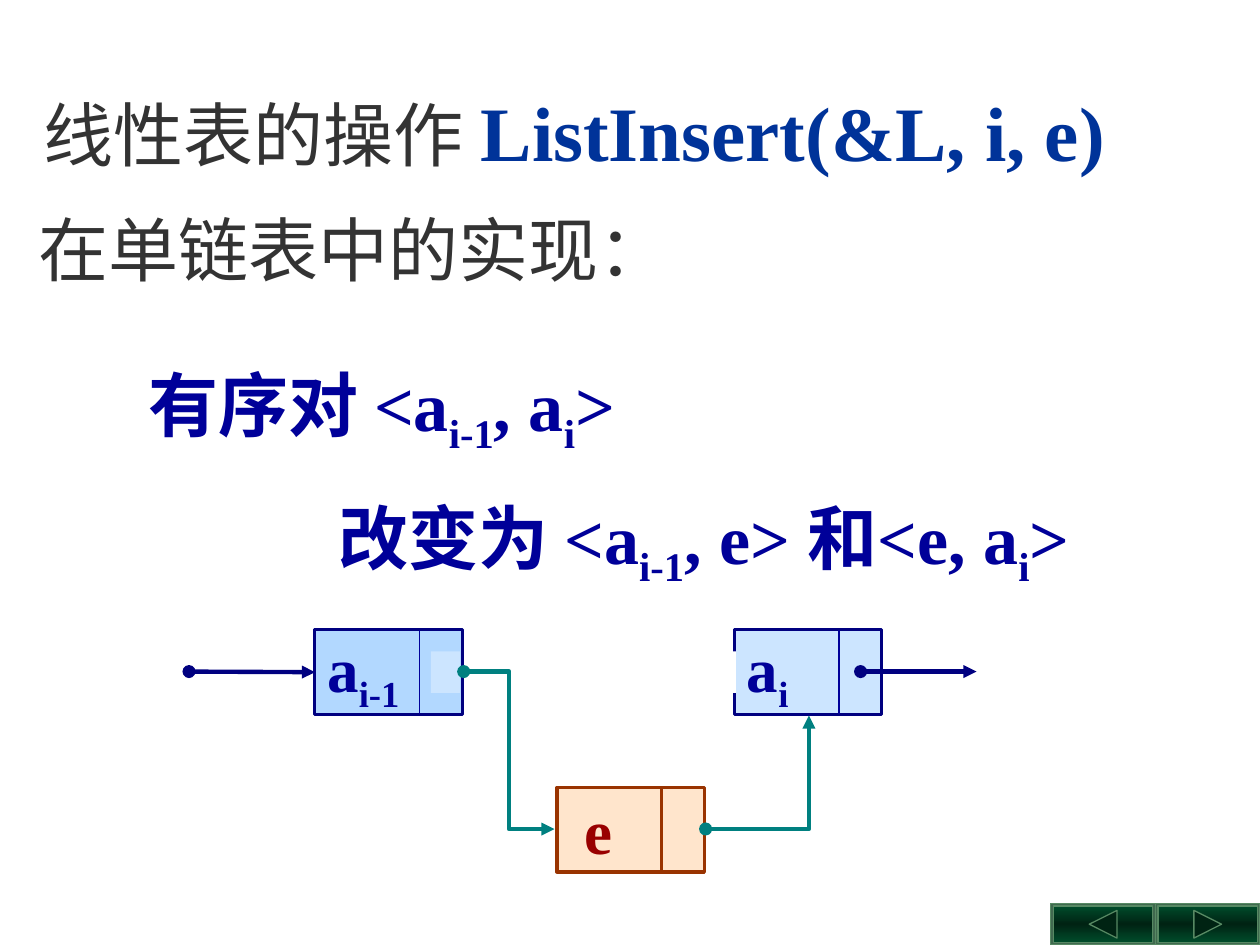
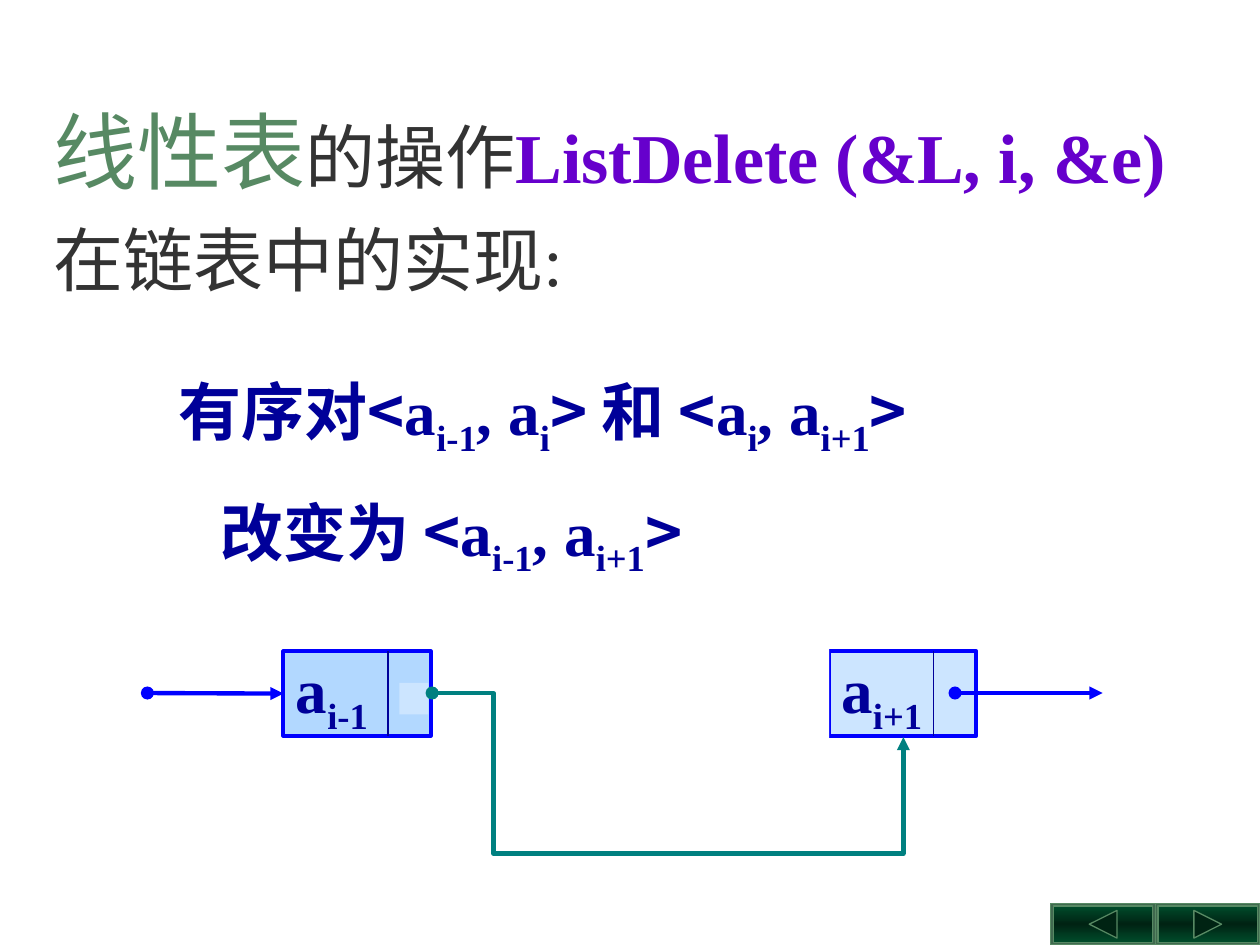
from copy import deepcopy
from dataclasses import dataclass

from lxml.etree import SubElement
from pptx import Presentation
from pptx.dml.color import RGBColor
from pptx.enum.shapes import MSO_CONNECTOR, MSO_SHAPE
from pptx.enum.text import MSO_ANCHOR, PP_ALIGN
from pptx.oxml.ns import qn
from pptx.util import Inches, Pt

SERIF = "Times New Roman"
CHINESE = "Noto Sans CJK SC"
DARK, INK, NAVY, BLUE = "333333", "000099", "000080", "0000FF"
TEAL, BROWN, GREEN, WHITE = "008080", "993300", "578963", "FFFFFF"
LIGHT_BLUE, MID_BLUE, PEACH = "CCE5FF", "B2D8FF", "FFE5CC"
NODE_WIDTH, NODE_HEIGHT, DIVIDER_OFFSET = 1.17, 0.67, 0.83
BUTTON_WIDTH, BUTTON_HEIGHT, BEVEL = 0.83, 0.33, 0.02


@dataclass(frozen=True)
class Piece:
    text: str
    size: float
    color: str
    bold: bool = False
    font: str = SERIF
    subscript: bool = False


@dataclass(frozen=True)
class Line:
    pieces: list[Piece]
    indent: float = 0


@dataclass(frozen=True)
class Node:
    label: str
    left: float
    top: float
    fill: str
    border: str
    border_width: float
    text_color: str = INK
    divider_color: str = INK
    divider_width: float = 0.75
    indent: float = 0


@dataclass(frozen=True)
class Link:
    start: tuple[float, float]
    end: tuple[float, float]
    color: str
    preset: str = "line"
    adjustments: tuple[int, ...] = ()


@dataclass(frozen=True)
class Patch:
    left: float
    top: float
    width: float
    height: float
    fill: str


def rgb(color: str) -> RGBColor:
    return RGBColor.from_string(color)


def marked(text: str, size: float, color: str, bracket_font: str = SERIF) -> list[Piece]:
    pieces = []
    for part_index, part in enumerate(text.split("|")):
        font = SERIF if part_index % 2 else bracket_font
        for chunk_index, chunk in enumerate(part.split("_")):
            if chunk:
                pieces.append(Piece(chunk, size, color, True, font, chunk_index % 2 == 1))
    return pieces


def write_line(paragraph, line: Line) -> None:
    paragraph.alignment = PP_ALIGN.LEFT
    if line.indent:
        properties = paragraph._p.get_or_add_pPr()
        properties.set("marL", str(Inches(line.indent)))
        properties.set("indent", "0")
    for piece in line.pieces:
        run = paragraph.add_run()
        run.text = piece.text
        run.font.size = Pt(piece.size)
        run.font.bold = piece.bold
        run.font.name = piece.font
        run.font.color.rgb = rgb(piece.color)
        properties = run._r.get_or_add_rPr()
        SubElement(properties, qn("a:ea")).set("typeface", CHINESE)
        if piece.subscript:
            properties.set("baseline", "-25000")


def add_text(slide, left: float, top: float, width: float, height: float,
             spacing: float, lines: list[Line]) -> None:
    box = slide.shapes.add_textbox(Inches(left), Inches(top), Inches(width), Inches(height))
    frame = box.text_frame
    frame.word_wrap = True
    for index, line in enumerate(lines):
        paragraph = frame.add_paragraph() if index else frame.paragraphs[0]
        paragraph.line_spacing = Pt(spacing)
        write_line(paragraph, line)


def add_rectangle(slide, left: float, top: float, width: float, height: float, fill: str,
                  border: str | None = None, border_width: float = 0.75):
    shape = slide.shapes.add_shape(MSO_SHAPE.RECTANGLE, Inches(left), Inches(top),
                                   Inches(width), Inches(height))
    shape.shadow.inherit = False
    shape.fill.solid()
    shape.fill.fore_color.rgb = rgb(fill)
    if border:
        shape.line.color.rgb = rgb(border)
        shape.line.width = Pt(border_width)
    else:
        shape.line.fill.background()
    return shape


def add_line(slide, start: tuple[float, float], end: tuple[float, float],
             color: str, width: float, kind=MSO_CONNECTOR.STRAIGHT):
    connector = slide.shapes.add_connector(kind, *(Inches(value) for value in start + end))
    connector.line.color.rgb = rgb(color)
    connector.line.width = Pt(width)
    SubElement(connector._element.spPr, qn("a:effectLst"))
    return connector


def add_node(slide, node: Node):
    shape = add_rectangle(slide, node.left, node.top, NODE_WIDTH, NODE_HEIGHT,
                          node.fill, node.border, node.border_width)
    shape.text_frame.word_wrap = False
    shape.text_frame.vertical_anchor = MSO_ANCHOR.MIDDLE
    write_line(shape.text_frame.paragraphs[0],
               Line(marked(node.label, 36, node.text_color), node.indent))
    divider = node.left + DIVIDER_OFFSET
    add_line(slide, (divider, node.top), (divider, node.top + NODE_HEIGHT),
             node.divider_color, node.divider_width)
    return shape


def add_link(slide, link: Link):
    straight = link.preset == "line"
    kind = MSO_CONNECTOR.STRAIGHT if straight else MSO_CONNECTOR.ELBOW
    connector = add_line(slide, link.start, link.end, link.color, 2.5, kind)
    line = connector.line._get_or_add_ln()
    SubElement(line, qn("a:headEnd")).set("type", "oval")
    SubElement(line, qn("a:tailEnd")).set("type", "triangle")
    if not straight:
        geometry = connector._element.spPr.find(qn("a:prstGeom"))
        geometry.set("prst", link.preset)
        values = geometry.find(qn("a:avLst"))
        if values is None:
            values = SubElement(geometry, qn("a:avLst"))
        for number, value in enumerate(link.adjustments, 1):
            guide = SubElement(values, qn("a:gd"))
            guide.set("name", f"adj{number}")
            guide.set("fmla", f"val {value}")
    return connector


def add_button(slide, left: float, direction: int) -> None:
    top = 7.5 - BUTTON_HEIGHT
    add_rectangle(slide, left, top, BUTTON_WIDTH, BUTTON_HEIGHT, "40694F", GREEN)
    face = add_rectangle(slide, left + BEVEL, top + BEVEL, BUTTON_WIDTH - 2 * BEVEL,
                         BUTTON_HEIGHT - 2 * BEVEL, "004C2B", GREEN)
    face.fill.gradient()
    face.fill.gradient_angle = 90
    stop_list = face._element.spPr.find(".//" + qn("a:gsLst"))
    stop_list.append(deepcopy(stop_list[0]))
    stops = zip(face.fill.gradient_stops, (0, 0.5, 1), ("004C2B", "002313", "004C2B"))
    for stop, position, color in stops:
        stop.position = position
        stop.color.rgb = rgb(color)
    middle, center = left + BUTTON_WIDTH / 2, top + BUTTON_HEIGHT / 2
    base, tip = middle - direction * 0.11, middle + direction * 0.11
    builder = slide.shapes.build_freeform(Inches(base), Inches(center - 0.11))
    builder.add_line_segments([(Inches(tip), Inches(center)),
                               (Inches(base), Inches(center + 0.11))], close=True)
    triangle = builder.convert_to_shape()
    triangle.shadow.inherit = False
    triangle.fill.solid()
    triangle.fill.fore_color.rgb = rgb("002313")
    triangle.line.color.rgb = rgb(GREEN)
    triangle.line.width = Pt(0.75)


def add_list_diagram(slide, nodes: list[Node], patches: list[Patch],
                     entry: Link, links: list[Link]) -> None:
    shapes = [add_node(slide, node) for node in nodes]
    for patch in patches:
        add_rectangle(slide, patch.left, patch.top, patch.width, patch.height, patch.fill)
    add_link(slide, entry).end_connect(shapes[0], 1)
    for link in links:
        add_link(slide, link)


def add_base_slide(presentation):
    slide = presentation.slides.add_slide(presentation.slide_layouts[6])
    add_button(slide, 9.17, 1)
    add_button(slide, 8.34, -1)
    return slide


def build_insert_slide(presentation) -> None:
    slide = add_base_slide(presentation)
    add_text(slide, 0.08, 0.45, 9.42, 1.9, 65, [
        Line([Piece("线性表的操作", 40, DARK), Piece(" ", 44, DARK),
              Piece("ListInsert(&L, i, e)", 44, "003399", True)], 0.17),
        Line([Piece("在单链表中的实现：", 40, DARK)], 0.13),
    ])
    add_text(slide, 0.96, 2.52, 8.6, 2.2, 76, [
        Line(marked("有序对 <a_i-1_, a_i_>", 40, INK), 0.12),
        Line(marked("改变为 <a_i-1_, e> 和<e, a_i_>", 40, INK), 1.63),
    ])
    add_list_diagram(
        slide,
        [Node("a_i-1", 2.5, 5, MID_BLUE, NAVY, 1.75),
         Node("a_i", 5.83, 5, LIGHT_BLUE, NAVY, 1.75),
         Node("e", 4.42, 6.25, PEACH, BROWN, 2, "990000", BROWN, 2, 0.12)],
        [Patch(3.42, 5.17, 0.23, 0.33, LIGHT_BLUE), Patch(5.8, 5.17, 0.04, 0.33, WHITE)],
        Link((1.5, 5.33), (2.5, 5.33), NAVY),
        [Link((6.83, 5.33), (7.75, 5.33), NAVY),
         Link((3.68, 5.33), (4.4, 6.58), TEAL, "bentConnector3", (50100,)),
         Link((5.6, 6.58), (6.42, 5.68), TEAL, "bentConnector2")],
    )


def build_delete_slide(presentation) -> None:
    slide = add_base_slide(presentation)
    add_text(slide, 0.33, 0.75, 9.58, 1.7, 57, [
        Line([Piece("线性表", 48, GREEN), Piece("的操作", 40, DARK),
              Piece("ListDelete (&L, i, &e)", 40, "6600CC", True)]),
        Line([Piece("在链表中的实现:", 40, DARK)]),
    ])
    add_text(slide, 1.32, 2.63, 6.6, 2.01, 69, [
        Line(marked("有序对<|a_i-1_, a_i_|> 和 <|a_i_, a_i+1_|>", 36, INK, CHINESE)),
        Line(marked("改变为 <|a_i-1_, a_i+1_|>", 36, INK, CHINESE), 0.33),
    ])
    add_list_diagram(
        slide,
        [Node("a_i-1", 2.25, 5.17, MID_BLUE, BLUE, 2.25),
         Node("a_i+1", 6.58, 5.17, LIGHT_BLUE, BLUE, 2.25)],
        [Patch(3.17, 5.42, 0.23, 0.25, LIGHT_BLUE), Patch(6.54, 5.08, 0.04, 0.83, WHITE)],
        Link((1.17, 5.5), (2.25, 5.5), BLUE),
        [Link((7.58, 5.5), (8.75, 5.5), BLUE),
         Link((3.43, 5.5), (7.17, 5.85), TEAL, "bentConnector4", (13000, 364100))],
    )


def main() -> None:
    presentation = Presentation()
    presentation.slide_width, presentation.slide_height = Inches(10), Inches(7.5)
    build_insert_slide(presentation)
    build_delete_slide(presentation)
    presentation.save("out.pptx")


if __name__ == "__main__":
    main()
